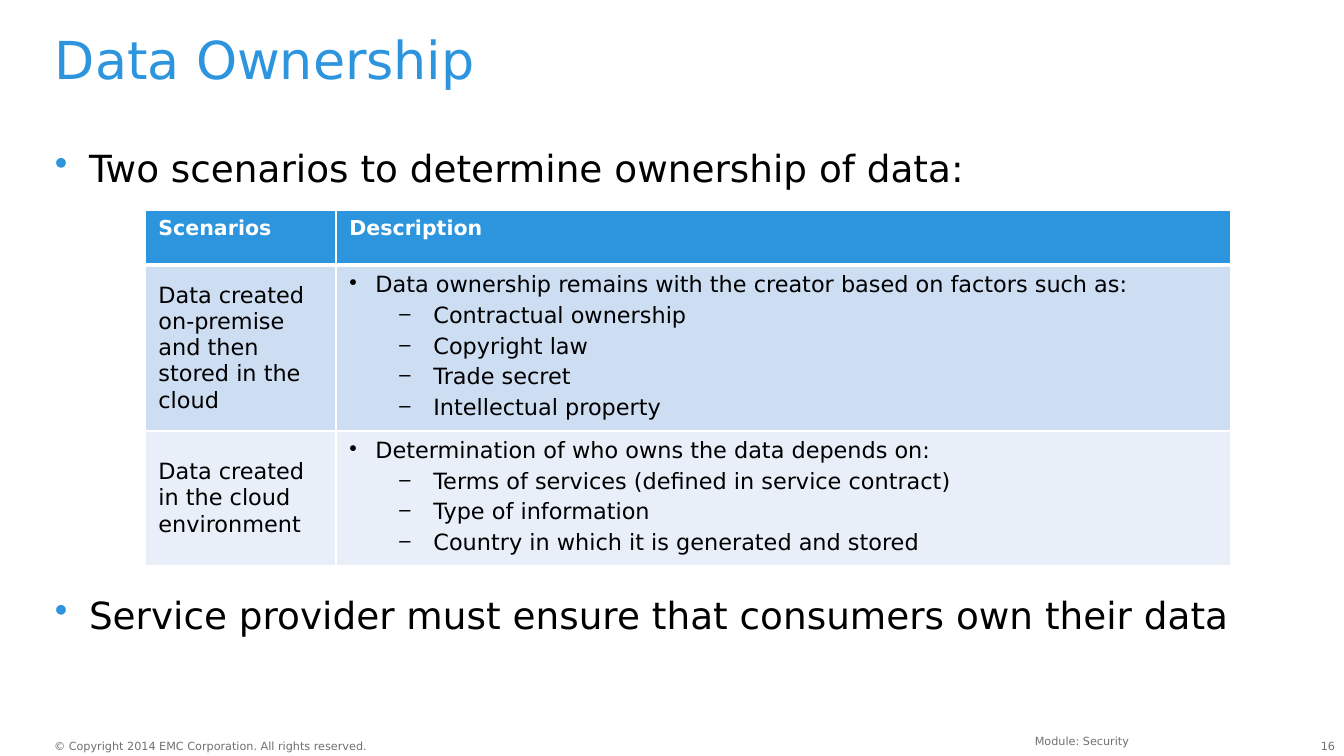
from lxml.etree import SubElement
from pptx import Presentation
from pptx.dml.color import RGBColor
from pptx.enum.text import MSO_ANCHOR, PP_ALIGN
from pptx.oxml.ns import qn
from pptx.util import Emu, Pt

FONT = "DejaVu Sans"
BLUE, BLACK, WHITE, GREY = "2C95DD", "000000", "FFFFFF", "717074"
ROW_FILLS = ("CDDDF2", "E8EFF9")
HEADINGS = ("Scenarios", "Description")
SCENARIOS = (
    ("Data created on-premise and then stored in the cloud",
     "Data ownership remains with the creator based on factors such as:",
     ("Contractual ownership", "Copyright law", "Trade secret",
      "Intellectual property")),
    ("Data created in the cloud environment",
     "Determination of who owns the data depends on:",
     ("Terms of services (defined in service contract)",
      "Type of information",
      "Country in which it is generated and stored")),
)


def px(length):
    return Emu(round(length * 914400 / 134.4))


def color(value):
    return RGBColor.from_string(value)


def style(paragraph, size, ink, bold=False):
    font = paragraph.font
    font.name, font.size, font.bold = FONT, Pt(size), bold
    font.color.rgb = color(ink)


def bullet(paragraph, mark, margin, hanging, ink=None, percent=None):
    props = paragraph._p.get_or_add_pPr()
    props.set("marL", str(px(margin)))
    props.set("indent", str(-px(hanging)))
    if ink:
        tint = SubElement(props, qn("a:buClr"))
        SubElement(tint, qn("a:srgbClr"), val=ink)
    if percent:
        SubElement(props, qn("a:buSzPct"), val=str(percent * 1000))
    SubElement(props, qn("a:buChar"), char=mark)


def add_frame(slide, box, inset=True, wrap=True):
    frame = slide.shapes.add_textbox(*map(px, box)).text_frame
    frame.word_wrap = wrap
    if not inset:
        frame.margin_left = frame.margin_right = 0
        frame.margin_top = frame.margin_bottom = 0
    return frame


def add_title(slide, box):
    title = add_frame(slide, box, inset=False).paragraphs[0]
    title.text = "Data Ownership"
    title.line_spacing = 0.9
    style(title, 28, BLUE)


def add_body(slide, box):
    body = add_frame(slide, box, inset=False)
    ownership, duty = body.paragraphs[0], body.add_paragraph()
    ownership.text = "Two scenarios to determine ownership of data:"
    duty.text = "Service provider must ensure that consumers own their data"
    for point in (ownership, duty):
        bullet(point, "•", 34, 34, BLUE)
        style(point, 20, BLACK)
    duty.space_before = Pt(215.5)


def paint_cell(cell, fill, top, bottom):
    props = cell._tc.get_or_add_tcPr()
    for side, width in (("L", 1), ("R", 1), ("T", top), ("B", bottom)):
        edge = SubElement(props, qn(f"a:ln{side}"), w=str(Pt(width)))
        SubElement(SubElement(edge, qn("a:solidFill")),
                   qn("a:srgbClr"), val=WHITE)
    cell.fill.solid()
    cell.fill.fore_color.rgb = color(fill)


def fill_description(cell, statement, factors):
    lead = cell.text_frame.paragraphs[0]
    lead.text = statement
    bullet(lead, "•", 26, 26)
    style(lead, 12, BLACK)
    for factor in factors:
        item = cell.text_frame.add_paragraph()
        item.text, item.level = factor, 1
        bullet(item, "–", 84, 34, percent=90)
        item.space_before = Pt(2.4)
        style(item, 12, BLACK)


def add_scenarios(slide, box):
    table = slide.shapes.add_table(3, 2, *map(px, box)).table
    for column, width in zip(table.columns, (191, box[2] - 191)):
        column.width = px(width)
    for row, height in zip(table.rows, (55, 162, box[3] - 217)):
        row.height = px(height)
    for column, heading in enumerate(HEADINGS):
        cell = table.cell(0, column)
        cell.text = heading
        style(cell.text_frame.paragraphs[0], 11, WHITE, bold=True)
        paint_cell(cell, BLUE, 1, 3)
    for row, (scenario, statement, factors) in enumerate(SCENARIOS, 1):
        name, description = table.cell(row, 0), table.cell(row, 1)
        name.text = scenario
        name.vertical_anchor = MSO_ANCHOR.MIDDLE
        style(name.text_frame.paragraphs[0], 12, BLACK)
        fill_description(description, statement, factors)
        for cell in (name, description):
            paint_cell(cell, ROW_FILLS[row - 1], 3 if row == 1 else 1, 1)


def add_footer(slide, box):
    left, top, width, height = box
    right = left + width
    notes = (
        ("© Copyright 2014 EMC Corporation. All rights reserved.",
         (left, top + 11, 319, 13), PP_ALIGN.LEFT, False, False),
        ("Module: Security",
         (right - 955, top, 762, 20), PP_ALIGN.RIGHT, True, True),
        ("16", (right - 42, top + 11, 42, 13), PP_ALIGN.RIGHT, False, True),
    )
    for wording, place, alignment, inset, wrap in notes:
        note = add_frame(slide, place, inset, wrap).paragraphs[0]
        note.text = wording
        note.alignment = alignment
        style(note, 6, GREY)


def main():
    deck = Presentation()
    deck.slide_width, deck.slide_height = px(1344), px(756)
    slide = deck.slides.add_slide(deck.slide_layouts[6])
    add_title(slide, (55, 34, 1243, 67))
    add_body(slide, (55, 145, 1243, 504))
    add_scenarios(slide, (145, 210, 1086, 348))
    add_footer(slide, (54, 728, 1281, 24))
    deck.save("out.pptx")


if __name__ == "__main__":
    main()
